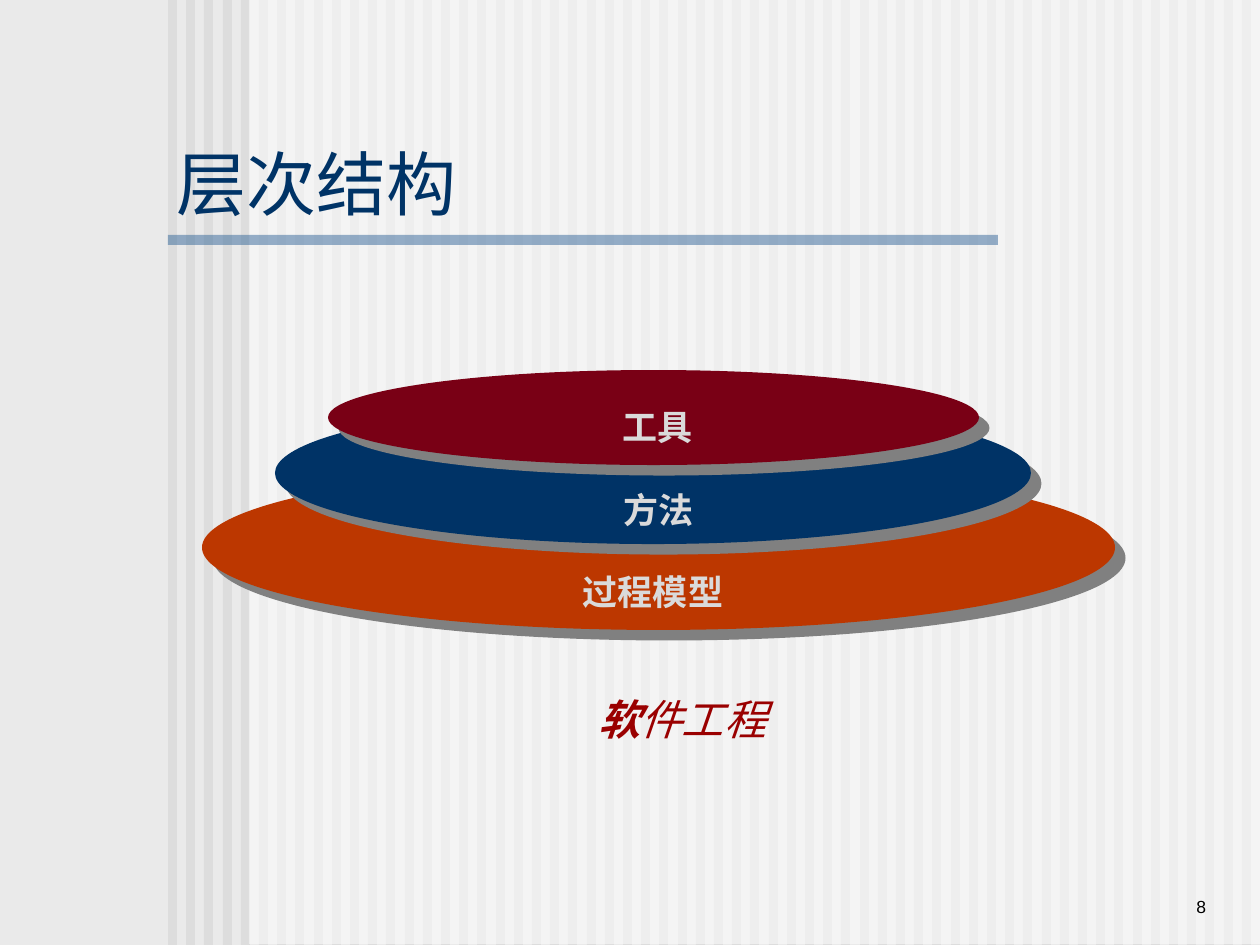
from lxml.etree import SubElement
from pptx import Presentation
from pptx.dml.color import RGBColor
from pptx.enum.shapes import MSO_SHAPE
from pptx.enum.text import MSO_ANCHOR, MSO_AUTO_SIZE, PP_ALIGN
from pptx.oxml.ns import qn
from pptx.util import Emu, Pt

PAPER = RGBColor(0xEA, 0xEA, 0xEA)
STRIPE = RGBColor(0xDD, 0xDD, 0xDD)
WHITE = RGBColor(0xFF, 0xFF, 0xFF)
BLACK = RGBColor(0x00, 0x00, 0x00)
STEEL = RGBColor(0x33, 0x66, 0x99)
NAVY = RGBColor(0x00, 0x33, 0x66)
RUST = RGBColor(0xBC, 0x37, 0x00)
WINE = RGBColor(0x79, 0x00, 0x15)
RED = RGBColor(0x9A, 0x00, 0x00)
PALE = RGBColor(0xDA, 0xDA, 0xDA)
SHADE = RGBColor(0x80, 0x80, 0x80)

WIDTH, HEIGHT = 1260, 945
PITCH = 18.2


def px(n):
    return Emu(round(n * 914400 / 126))


def write(frame, *runs, size, color, font="Cambria", bold=(True,), italic=False,
          align=PP_ALIGN.CENTER, anchor=MSO_ANCHOR.TOP, space=None,
          inset=(13, 6), grow=True):
    """Fill a frame with one paragraph; bold holds one flag for each run."""
    frame.word_wrap = True
    frame.auto_size = MSO_AUTO_SIZE.SHAPE_TO_FIT_TEXT if grow else MSO_AUTO_SIZE.NONE
    frame.vertical_anchor = anchor
    frame.margin_left = frame.margin_right = px(inset[0])
    frame.margin_top = frame.margin_bottom = px(inset[1])
    para = frame.paragraphs[0]
    para.alignment = align
    if space:
        para.line_spacing = space
    for text, heavy in zip(runs, bold):
        run = para.add_run()
        run.text = text
        run.font.name = font
        run.font.size = Pt(size)
        run.font.bold = heavy
        run.font.italic = italic
        run.font.color.rgb = color


class Deck:
    def __init__(self):
        self.prs = Presentation()
        self.prs.slide_width, self.prs.slide_height = px(WIDTH), px(HEIGHT)
        self.slide = self.prs.slides.add_slide(self.prs.slide_layouts[5])
        fill = self.slide.background.fill
        fill.solid()
        fill.fore_color.rgb = PAPER

    def shape(self, kind, box, color, alpha=None):
        item = self.slide.shapes.add_shape(kind, *map(px, box))
        item.shadow.inherit = False
        item.fill.solid()
        item.fill.fore_color.rgb = color
        item.line.fill.background()
        if alpha:
            tint = item._element.spPr.find(qn("a:solidFill"))[0]
            SubElement(tint, qn("a:alpha"), val=str(alpha * 1000))
        return item

    def bar(self, box, color, alpha=None):
        return self.shape(MSO_SHAPE.RECTANGLE, box, color, alpha)

    def disc(self, box, color):
        item = self.shape(MSO_SHAPE.OVAL, box, color)
        effect = item._element.spPr.find(qn("a:effectLst"))
        cast = SubElement(effect, qn("a:outerShdw"), blurRad="0", dist=str(Pt(8.5)),
                          dir=str(45 * 60000), algn="ctr", rotWithShape="0")
        SubElement(cast, qn("a:srgbClr"), val=str(SHADE))

    def label(self, box, *runs, **style):
        item = self.slide.shapes.add_textbox(*map(px, box))
        write(item.text_frame, *runs, **style)

    def title(self, box, text, **style):
        item = self.slide.shapes.title
        item.left, item.top, item.width, item.height = map(px, box)
        write(item.text_frame, text, **style)
        # Bring the title in front of the stripes
        self.slide.shapes._spTree.append(item._element)


def main():
    deck = Deck()

    # Striped backdrop, veil and title rule
    for i in range(60):
        deck.bar((round(168 + PITCH * i), 0, 9, HEIGHT), STRIPE)
    deck.bar((249, -1, 1011, HEIGHT), WHITE, alpha=50)
    deck.bar((168, 235, 830, 10), STEEL, alpha=50)

    # Page number, title and caption
    deck.label((1040, 860, 179, 63), "8", size=10, color=BLACK, font="Arial",
               bold=(False,), align=PP_ALIGN.RIGHT, anchor=MSO_ANCHOR.BOTTOM,
               grow=False)
    deck.title((168, 136, 747, 92), "层次结构", size=40, color=NAVY, font="Arial",
               bold=(False,), align=PP_ALIGN.LEFT, inset=(9, 4))
    deck.label((472, 693, 420, 58), "软", "件工程", size=24, color=RED,
               bold=(True, False), italic=True, space=0.9)

    # Stacked layers, bottom to top
    for box, color in (((202, 465, 913, 165), RUST),
                       ((275, 402, 756, 142), NAVY),
                       ((328, 370, 651, 95), WINE)):
        deck.disc(box, color)

    # Layer names
    for box, text, align in (
            ((518, 564, 270, 54), "过程模型", PP_ALIGN.CENTER),
            ((572, 482, 135, 54), "方法", PP_ALIGN.RIGHT),
            ((609, 399, 104, 54), "工具", PP_ALIGN.LEFT)):
        deck.label(box, text, size=20, color=PALE, align=align)

    deck.prs.save("out.pptx")


if __name__ == "__main__":
    main()
